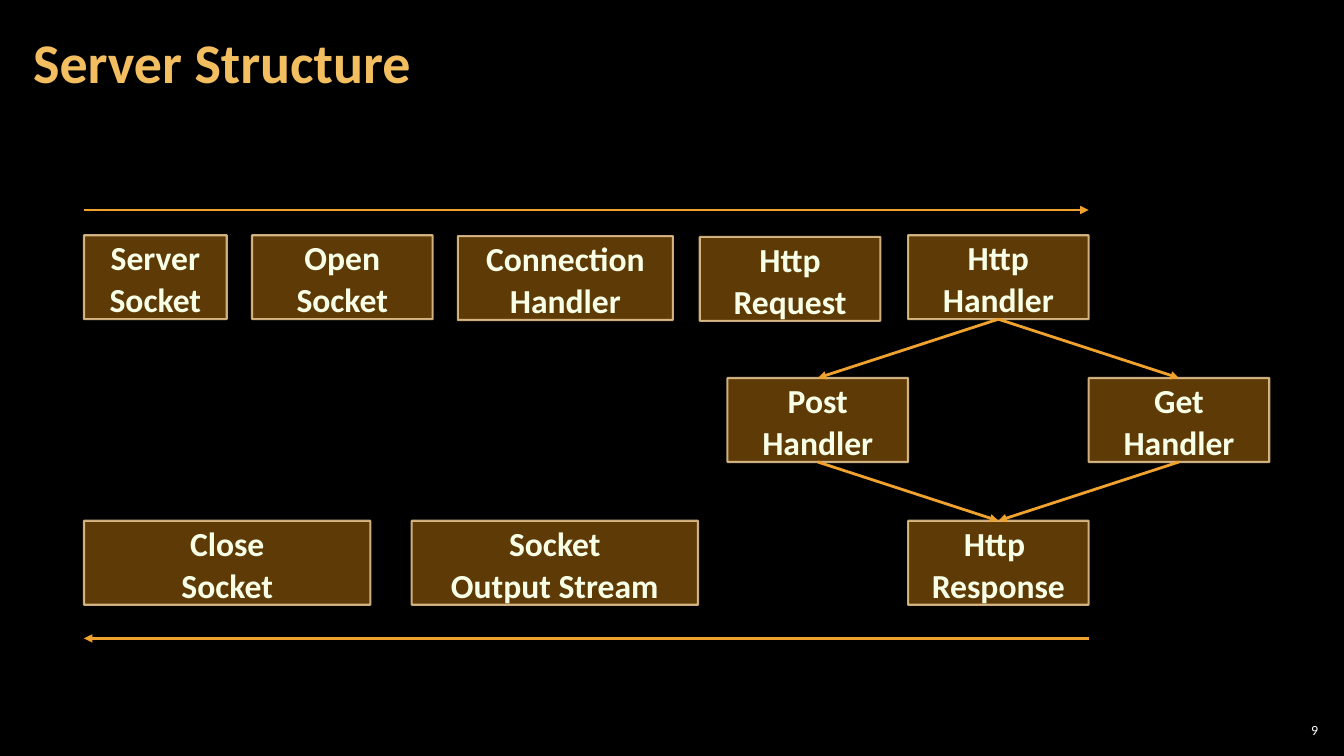
from lxml import etree
from pptx import Presentation
from pptx.dml.color import RGBColor
from pptx.enum.shapes import MSO_CONNECTOR, MSO_SHAPE
from pptx.enum.text import MSO_ANCHOR, MSO_AUTO_SIZE, PP_ALIGN
from pptx.oxml.ns import qn
from pptx.util import Inches, Pt

COLORS = {
    "background": "000000",
    "title": "F3BE60",
    "box": "643F07",
    "border": "F8D49E",
    "label": "F7FFE7",
    "arrow": "F0A22E",
    "number": "FFFFFF",
}

presentation = Presentation()
presentation.slide_width = Inches(13.333)
presentation.slide_height = Inches(7.5)
slide = presentation.slides.add_slide(presentation.slide_layouts[5])
slide.background.fill.solid()
slide.background.fill.fore_color.rgb = RGBColor.from_string(COLORS["background"])

# The grid has 16 columns and 9 rows of square cells
CELL = presentation.slide_height / 9


def grid(*cells):
    return [round(cell * CELL) for cell in cells]


def write_text(shape, text, size, color, bold=False, align=PP_ALIGN.LEFT,
               spacing=None, margins=(0.1, 0.05)):
    frame = shape.text_frame
    frame.auto_size = MSO_AUTO_SIZE.NONE
    frame.word_wrap = True
    frame.vertical_anchor = MSO_ANCHOR.MIDDLE
    frame.margin_left = frame.margin_right = Inches(margins[0])
    frame.margin_top = frame.margin_bottom = Inches(margins[1])
    frame.text = text
    for paragraph in frame.paragraphs:
        paragraph.alignment = align
        paragraph.line_spacing = spacing
        font = paragraph.runs[0].font
        font.name, font.size, font.bold = "Calibri", Pt(size), bold
        font.color.rgb = RGBColor.from_string(COLORS[color])


# Title
title = slide.shapes.title
title.left, title.top, title.width, title.height = grid(0.25, 0.05, 12.56, 1.45)
write_text(title, "Server Structure", 40, "title", bold=True, spacing=0.9,
           margins=(0.12, 0.04))

# Boxes: label, left, top, width in cells; each is one cell high
REQUEST_ROW, METHOD_ROW, RESPONSE_ROW = 2.8, 4.5, 6.2
NORMAL, WIDE = 2.15, 3.41
HANDLER_LEFT = 10.81
boxes = {}
for label, left, top, width in [
    ("Server\nSocket", 1, REQUEST_ROW, 1.7),
    ("Open Socket", 3, REQUEST_ROW, NORMAL),
    ("Connection\nHandler", 5.45, REQUEST_ROW + 0.01, 2.56),
    ("Http\nRequest", 8.33, REQUEST_ROW + 0.02, NORMAL),
    ("Http Handler", HANDLER_LEFT, REQUEST_ROW, NORMAL),
    ("Post Handler", HANDLER_LEFT - NORMAL, METHOD_ROW, NORMAL),
    ("Get Handler", HANDLER_LEFT + NORMAL, METHOD_ROW, NORMAL),
    ("Http \nResponse", HANDLER_LEFT, RESPONSE_ROW, NORMAL),
    ("Socket\nOutput Stream", 4.9, RESPONSE_ROW, WIDE),
    ("Close\nSocket", 1, RESPONSE_ROW, WIDE),
]:
    box = slide.shapes.add_shape(MSO_SHAPE.RECTANGLE, *grid(left, top, width, 1))
    box.shadow.inherit = False
    box.line.width = Pt(1.5)
    for fill, color, opacity in [(box.fill, "box", 95), (box.line.fill, "border", 80)]:
        fill.solid()
        fill.fore_color.rgb = RGBColor.from_string(COLORS[color])
    for color_element, opacity in zip(box._element.spPr.iter(qn("a:srgbClr")), (95, 80)):
        etree.SubElement(color_element, qn("a:alpha"), val=str(opacity * 1000))
    write_text(box, label, 24, "label", bold=True, align=PP_ALIGN.CENTER, spacing=Pt(30))
    boxes[label] = box

# Arrows: flow lines above and below, then branches between boxes
FLOW_LEFT, FLOW_RIGHT = 1, HANDLER_LEFT + NORMAL
arrows = [
    slide.shapes.add_connector(MSO_CONNECTOR.STRAIGHT, *grid(start, top, end, top))
    for start, end, top in [(FLOW_LEFT, FLOW_RIGHT, 2.5), (FLOW_RIGHT, FLOW_LEFT, 7.6)]
]
for method in ("Post Handler", "Get Handler"):
    for source, target in [("Http Handler", method), (method, "Http \nResponse")]:
        branch = slide.shapes.add_connector(MSO_CONNECTOR.STRAIGHT, 0, 0, 0, 0)
        branch.begin_connect(boxes[source], 2)
        branch.end_connect(boxes[target], 0)
        arrows.append(branch)
for arrow in arrows:
    arrow.line.width = Pt(2)
    arrow.line.color.rgb = RGBColor.from_string(COLORS["arrow"])
    etree.SubElement(arrow.line._get_or_add_ln(), qn("a:tailEnd"), type="triangle")
    etree.SubElement(arrow._element.spPr, qn("a:effectLst"))

# Slide number
number = slide.shapes.add_textbox(*grid(15.18, 8.57, 0.56, 0.25))
write_text(number, "9", 10, "number", align=PP_ALIGN.RIGHT, margins=(0.04, 0.04))

presentation.save("out.pptx")
